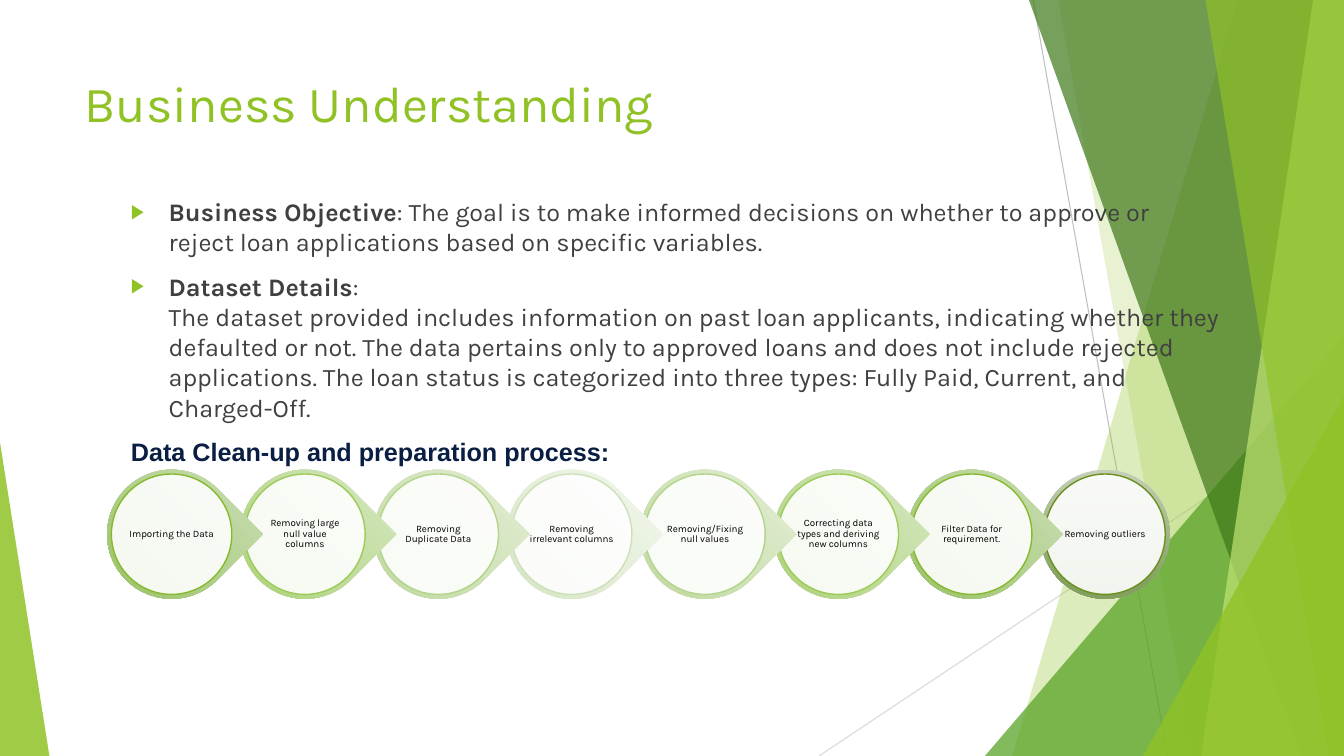
import pptx
import pptx.util
import pptx.dml.color
import pptx.enum.shapes
import pptx.enum.text
import pptx.oxml
import pptx.oxml.ns
from dataclasses import dataclass

Pt = pptx.util.Pt
MSO = pptx.enum.shapes.MSO_SHAPE
ALIGN = pptx.enum.text.PP_ALIGN
ANCHOR = pptx.enum.text.MSO_ANCHOR
qn = pptx.oxml.ns.qn
A_NS = 'xmlns:a="http://schemas.openxmlformats.org/drawingml/2006/main"'


@dataclass(frozen=True)
class Theme:
    font: str = "Karla"
    heading_font: str = "Arial"
    green: str = "90C226"
    mid_green: str = "54A021"
    dark_green: str = "3F7819"
    pale_green: str = "C0E474"
    text: str = "404040"
    heading: str = "091E42"
    black: str = "000000"
    white: str = "FFFFFF"
    rules: tuple = ("BFBFBF", "D9D9D9")
    title_size: float = 36
    body_size: float = 18
    step_size: float = 7
    # Ring gradient start, gradient end, disc outline
    step_deep: tuple = ("D0E1BE", "99C265", "87B92E")
    step_mid: tuple = ("DAEAC9", "ABD178", "9ECB57")
    step_light: tuple = ("E7F0DC", "BED89C", "B4D48B")
    step_faint: tuple = ("F7FAF4", "D4E4C2", "CEE0BA")
    step_last: tuple = ("C4CFB8", "84A060", "6B901C")


T = Theme()

OBJECTIVE = ("Business Objective", ": The goal is to make informed decisions on whether to "
             "approve or reject loan applications based on specific variables.")
DATASET = ("Dataset Details", ":", "The dataset provided includes information on past loan "
           "applicants, indicating whether they defaulted or not. The data pertains only to "
           "approved loans and does not include rejected applications. The loan status is "
           "categorized into three types: Fully Paid, Current, and Charged-Off.")
STEPS = [
    ("Importing the Data", T.step_deep),
    ("Removing large null value columns", T.step_mid),
    ("Removing Duplicate Data", T.step_light),
    ("Removing irrelevant columns", T.step_faint),
    ("Removing/Fixing null values", T.step_light),
    ("Correcting data types and deriving new columns", T.step_mid),
    ("Filter Data for requirement.", T.step_deep),
    ("Removing outliers", T.step_last),
]


def rgb(c):
    return pptx.dml.color.RGBColor.from_string(c)


def set_attrs(obj, values):
    for name, value in values.items():
        setattr(obj, name, value)


def paint(sp, color, opacity):
    """Solid, partly transparent fill without outline or shadow."""
    sp.shadow.inherit = False
    sp.fill.solid()
    sp.fill.fore_color.rgb = rgb(color)
    clr = sp._element.spPr.find(".//" + qn("a:srgbClr"))
    clr.append(pptx.oxml.parse_xml(f'<a:alpha {A_NS} val="{opacity * 1000}"/>'))
    sp.line.fill.background()


def add_run(p, text, size, color, font=T.font, bold=False):
    r = p.add_run()
    r.text = text
    set_attrs(r.font, {"size": Pt(size), "name": font, "bold": bold})
    r.font.color.rgb = rgb(color)


def text_frame(slide, box, **values):
    tf = slide.shapes.add_textbox(*map(Pt, box)).text_frame
    set_attrs(tf, {"word_wrap": True, **values})
    return tf


def add_backdrop(slide, box):
    x, y, w, h = box
    right, bottom = x + w, y + h

    # Thin crossing lines
    ends = [(x + 738, y, x + 834, bottom), (right, y + 290, x + 585, bottom)]
    for color, points in zip(T.rules, ends):
        cn = slide.shapes.add_connector(
            pptx.enum.shapes.MSO_CONNECTOR.STRAIGHT, *map(Pt, points))
        cn.line.color.rgb = rgb(color)
        cn.line.width = Pt(0.75)
        cn._element.spPr.append(pptx.oxml.parse_xml(f"<a:effectLst {A_NS}/>"))

    def band(top_x, bottom_x, color, opacity):
        fb = slide.shapes.build_freeform(Pt(x + top_x), Pt(y))
        fb.add_line_segments([(Pt(right), Pt(y)), (Pt(right), Pt(bottom)),
                              (Pt(x + bottom_x), Pt(bottom))], close=True)
        paint(fb.convert_to_shape(), color, opacity)

    def corner(left, width, height, apex, color, opacity):
        sp = slide.shapes.add_shape(MSO.ISOSCELES_TRIANGLE, Pt(left), Pt(bottom - height),
                                    Pt(width), Pt(height))
        sp.adjustments[0] = apex
        paint(sp, color, opacity)

    # Overlapping facets, back to front
    band(884, 723, T.green, 30)
    band(756, 852, T.green, 20)
    corner(right - 256.5, 256.5, 300, 1, T.mid_green, 72)
    band(735, 929.5, T.dark_green, 70)
    band(938, 858, T.pale_green, 70)
    band(861, 949, T.green, 65)
    corner(right - 143.5, 143.5, 257, 1, T.green, 80)
    corner(x, 35.3, 224, 0, T.green, 85)


def add_title(slide, box):
    add_run(text_frame(slide, box).paragraphs[0], "Business Understanding",
            T.title_size, T.green)


def add_body(slide, box):
    tf = text_frame(slide, box)

    # Bulleted points
    for i, (lead, rest, *after_break) in enumerate((OBJECTIVE, DATASET)):
        p = tf.add_paragraph() if i else tf.paragraphs[0]
        p.space_before = Pt(10)
        pPr = p._p.get_or_add_pPr()
        pPr.set("marL", str(Pt(27)))
        pPr.set("indent", str(Pt(-27)))
        for tag in (f'<a:buClr {A_NS}><a:srgbClr val="{T.green}"/></a:buClr>',
                    f'<a:buSzPct {A_NS} val="80000"/>',
                    f'<a:buFont {A_NS} typeface="Arial"/>',
                    f'<a:buChar {A_NS} char="▶"/>'):
            pPr.append(pptx.oxml.parse_xml(tag))
        add_run(p, lead, T.body_size, T.text, bold=True)
        add_run(p, rest, T.body_size, T.text)
        for text in after_break:
            p.add_line_break()
            add_run(p, text, T.body_size, T.text)

    # Heading of the process below
    p = tf.add_paragraph()
    p.space_before = Pt(10)
    add_run(p, "Data Clean-up and preparation process:", T.body_size, T.heading,
            T.heading_font, True)


def add_step(slide, box, text, colors, last):
    x, y, size, _ = box
    start, end, outline = colors

    def inset(d):
        return x + d, y + d, size - 2 * d, size - 2 * d

    # Ring, with a tip towards the next step
    ring = slide.shapes.add_shape(MSO.OVAL if last else MSO.TEAR, *map(Pt, box))
    ring.shadow.inherit = False
    ring.rotation = 0 if last else 45
    ring.fill.gradient()
    ring.fill.gradient_angle = 270
    for stop, color, pos in zip(ring.fill.gradient_stops, (start, end), (0, 0.88)):
        stop.color.rgb = rgb(color)
        stop.position = pos
    ring.line.fill.background()

    # Disc and label
    disc = slide.shapes.add_shape(MSO.OVAL, *map(Pt, inset(3.1)))
    paint(disc, T.white, 90)
    disc.line.color.rgb = rgb(outline)
    disc.line.width = Pt(1)
    margins = {f"margin_{side}": Pt(0.5) for side in ("left", "top", "right", "bottom")}
    tf = text_frame(slide, inset(15.4), vertical_anchor=ANCHOR.MIDDLE, **margins)
    p = tf.paragraphs[0]
    set_attrs(p, {"alignment": ALIGN.CENTER, "line_spacing": 0.9, "space_after": Pt(2.45)})
    add_run(p, text, T.step_size, T.black)


def add_process(slide, box):
    x, y, w, size = box
    pitch = (w - size) / (len(STEPS) - 1)
    # Right to left, so that each tip overlaps the following disc
    for i in reversed(range(len(STEPS))):
        add_step(slide, (x + i * pitch, y, size, size), *STEPS[i], i == len(STEPS) - 1)


def main():
    prs = pptx.Presentation()
    prs.slide_width, prs.slide_height = Pt(960), Pt(540)
    slide = prs.slides.add_slide(prs.slide_layouts[6])
    add_backdrop(slide, (0, 0, 960, 540))
    add_title(slide, (53.3, 48, 677, 104))
    add_body(slide, (86.4, 136.8, 792, 316.8))
    add_process(slide, (76.5, 335.5, 758.95, 92.2))
    prs.save("out.pptx")


if __name__ == "__main__":
    main()
